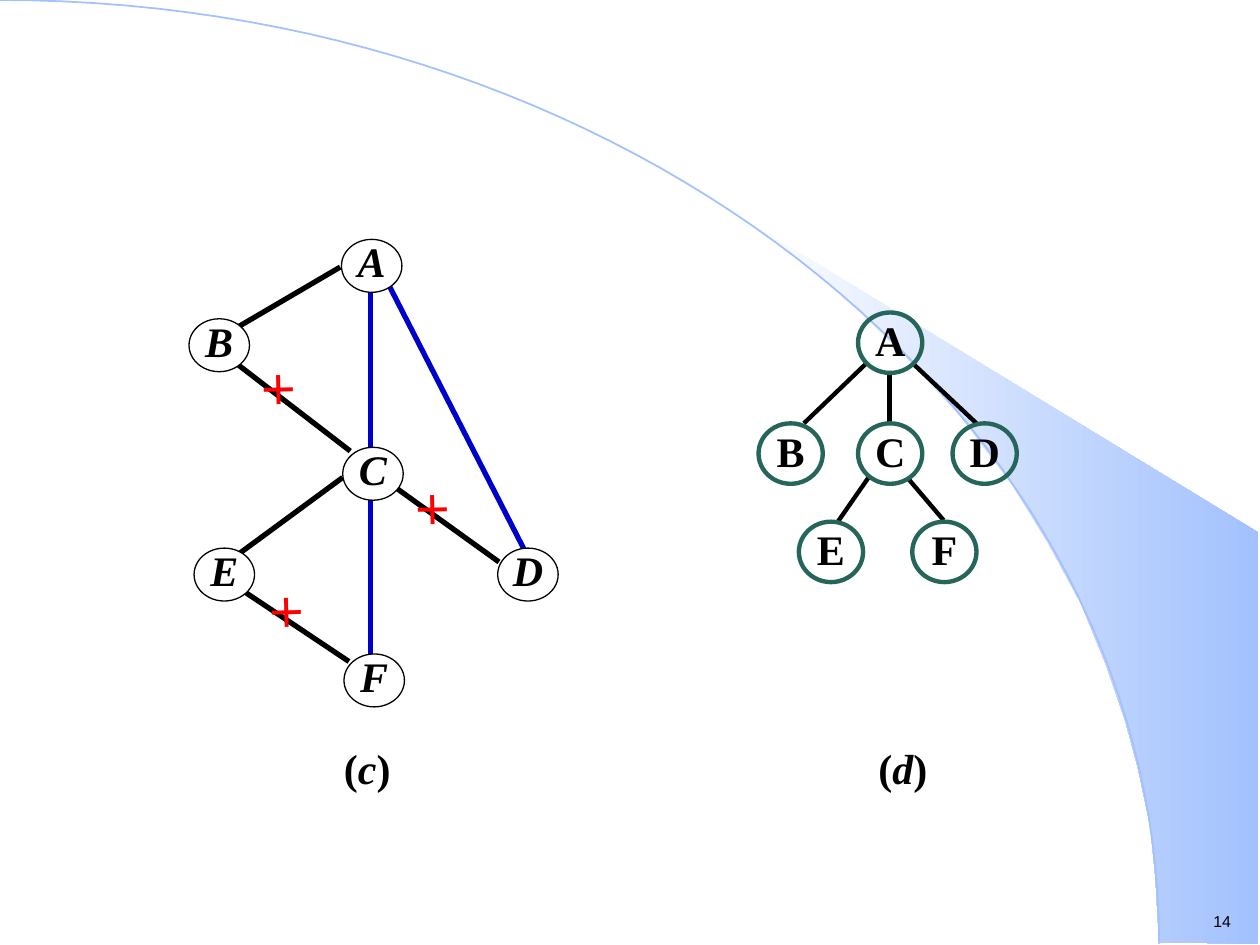
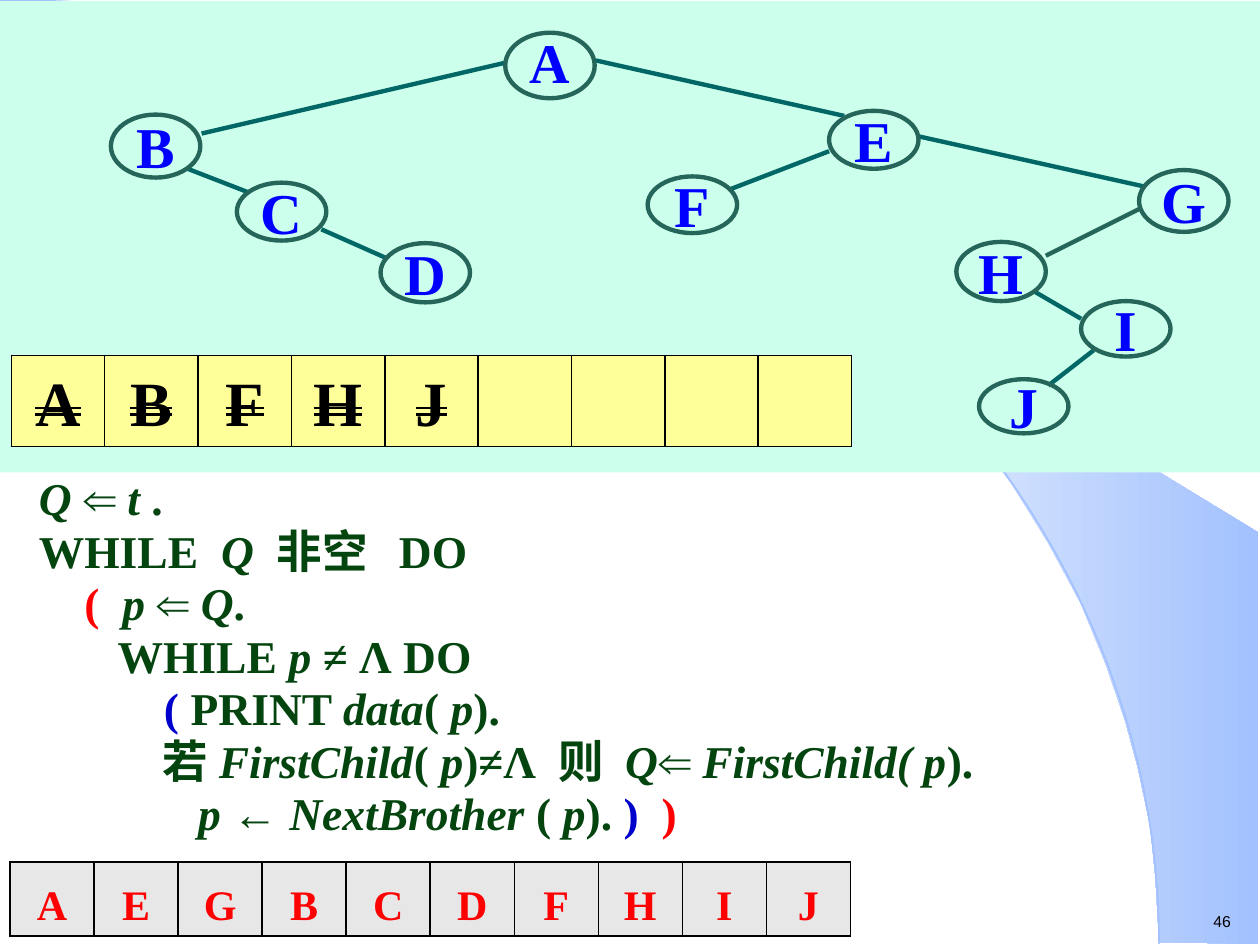
from lxml import etree
from pptx import Presentation
from pptx.dml.color import RGBColor
from pptx.enum.shapes import MSO_CONNECTOR, MSO_SHAPE
from pptx.enum.text import MSO_ANCHOR, PP_ALIGN
from pptx.oxml.ns import qn
from pptx.util import Inches, Pt

OVAL, RECT = MSO_SHAPE.OVAL, MSO_SHAPE.RECTANGLE
STRAIGHT = MSO_CONNECTOR.STRAIGHT
MIDDLE, TOP = MSO_ANCHOR.MIDDLE, MSO_ANCHOR.TOP
CENTER, LEFT = PP_ALIGN.CENTER, PP_ALIGN.LEFT

SERIF, SANS = "Times New Roman", "Arial"
BLACK, WHITE, RED = "000000", "FFFFFF", "FF0000"
SKY, MINT, TEAL, PINE = "A2C1FE", "CCFFEC", "26665A", "006666"
NAVY, BLUE, MOSS = "0000CC", "0000FF", "04440F"
CREAM, GREY = "FFFF99", "E7E7E7"

ink = RGBColor.from_string

prs = Presentation()
prs.slide_width, prs.slide_height = Inches(10), Inches(7.5)
CELL = prs.slide_width / 10


def grid(*steps):
    """Turn steps on the 10 by 7.5 slide grid into lengths."""
    return [round(step * CELL) for step in steps]


def mark(frame, text, size, shade, gap=1.0, font=SERIF, align=CENTER, anchor=MIDDLE):
    """Fill a frame without margins with one line of text; return its font."""
    frame.margin_left = frame.margin_right = 0
    frame.margin_top = frame.margin_bottom = 0
    frame.word_wrap = True
    frame.vertical_anchor = anchor
    frame.text = text
    para = frame.paragraphs[0]
    para.alignment, para.line_spacing = align, gap
    face = para.runs[0].font
    face.name, face.size, face.bold = font, Pt(size), font == SERIF
    face.color.rgb = ink(shade)
    return face


# Shared layout: shaded wedge and long arc
plain = prs.slide_layouts[6]
graph, queue = [prs.slides.add_slide(plain) for _ in range(2)]

wedge_pts = [
    (9.2, 7.48), (9.99, 7.49), (9.99, 4.23), (5.89, 1.73), (6.24, 1.99), (6.53, 2.22),
    (6.85, 2.5), (7.16, 2.8), (7.62, 3.3), (8.03, 3.84), (8.32, 4.31), (8.58, 4.79),
    (8.78, 5.28), (8.93, 5.72), (9.03, 6.09), (9.13, 6.56), (9.17, 6.96),
]
arc_pts = []
for step in range(61):
    t = step / 60
    u = 1 - t
    arc_pts.append((3 * u * u * t * 5.08 + 3 * u * t * t * 9.2 + t**3 * 9.2,
                    3 * u * t * t * 3.35 + t**3 * 7.49))

for points, closed in ((wedge_pts, True), (arc_pts, False)):
    pen = graph.shapes.build_freeform(*grid(*points[0]))
    pen.add_line_segments([grid(*point) for point in points[1:]], close=closed)
    form = pen.convert_to_shape()
    form.shadow.inherit = False
    if closed:
        form.fill.gradient()
        form.fill.gradient_angle = 0
        for stop, shade in zip(form.fill.gradient_stops, (WHITE, SKY)):
            stop.color.rgb = ink(shade)
        form.line.fill.background()
    else:
        form.fill.background()
        form.line.color.rgb, form.line.width = ink(SKY), Pt(1)
    plain.shapes.element.append(form.element)

for slide, number in ((graph, "14"), (queue, "46")):
    box = slide.shapes.add_textbox(*grid(9.63, 7.24, 0.25, 0.15))
    mark(box.text_frame, number, 9, BLACK, font=SANS, align=LEFT, anchor=TOP)

# Panel behind the forest, captions under the graph and the tree
panels = [
    (queue, (0, 0.01, 10, 3.74), MINT, ""),
    (graph, (2.56, 5.95, 0.71, 0.36), WHITE, "c"),
    (graph, (6.81, 5.95, 0.71, 0.36), WHITE, "d"),
]
for slide, place, shade, letter in panels:
    panel = slide.shapes.add_shape(RECT, *grid(*place))
    panel.shadow.inherit = False
    panel.fill.solid()
    panel.fill.fore_color.rgb = ink(shade)
    panel.line.fill.background()
    if letter:
        mark(panel.text_frame, "(", 24, BLACK, 0.8)
        para = panel.text_frame.paragraphs[0]
        for part in (letter, ")"):
            run = para.add_run()
            run.text = part
            face = run.font
            face.name, face.size, face.bold = SERIF, Pt(24), True
            face.italic = part == letter
            face.color.rgb = ink(BLACK)

# Edges: slide, colour, width, ends
edges = [
    (graph, NAVY, 3, [(3.09, 2.27, 4.17, 4.38), (2.94, 3.95, 2.94, 5.2),
                      (2.94, 2.28, 2.94, 3.57)]),
    (graph, BLACK, 3, [(2.7, 2.12, 1.88, 2.6), (2.72, 3.79, 1.89, 4.4),
                       (1.87, 2.88, 2.78, 3.58), (3.14, 3.87, 3.96, 4.46),
                       (1.93, 4.69, 2.77, 5.25)]),
    (graph, BLACK, 2.5, [(7.06, 2.96, 7.06, 3.36), (6.88, 2.88, 6.38, 3.36),
                         (7.24, 2.88, 7.75, 3.36), (6.9, 3.78, 6.65, 4.14),
                         (7.2, 3.79, 7.49, 4.13)]),
    (queue, TEAL, 2.5, [(9.04, 1.66, 8.3, 2.03)]),
    (queue, PINE, 2.5, [(4.73, 0.48, 6.7, 0.92), (7.28, 1.08, 9.08, 1.48),
                        (8.22, 2.32, 8.58, 2.53), (8.68, 2.78, 8.32, 3.06),
                        (6.58, 1.2, 5.8, 1.5), (4, 0.5, 1.6, 1.06),
                        (2.55, 1.82, 3.07, 2.05), (1.49, 1.34, 1.98, 1.53)]),
]
for slide, shade, width, ends in edges:
    for end in ends:
        edge = slide.shapes.add_connector(STRAIGHT, *grid(*end))
        edge.line.color.rgb, edge.line.width = ink(shade), Pt(width)
        etree.SubElement(edge.element.spPr, qn("a:effectLst"))

# Nodes: slide, node width, fill, line, text style, then name, left, top, height
nodes = [
    (graph, 0.48, WHITE, BLACK, 0.75, (24, BLACK, 0.8), [
        ("A", 2.71, 1.9, 0.42), ("B", 1.5, 2.53, 0.42), ("C", 2.72, 3.55, 0.42),
        ("D", 3.95, 4.35, 0.42), ("E", 1.54, 4.35, 0.42), ("F", 2.73, 5.19, 0.42)]),
    (graph, 0.51, None, TEAL, 2.5, (24, BLACK, 0.9), [
        ("A", 6.81, 2.48, 0.48), ("B", 6.02, 3.36, 0.48), ("C", 6.81, 3.36, 0.48),
        ("D", 7.56, 3.36, 0.48), ("E", 6.34, 4.14, 0.48), ("F", 7.24, 4.14, 0.48)]),
    (queue, 0.71, None, TEAL, 2.5, (32, BLUE, Pt(33)), [("A", 4.01, 0.26, 0.52)]),
    (queue, 0.71, None, TEAL, 2.5, (33, BLUE, Pt(39)), [
        ("B", 0.88, 0.91, 0.5), ("C", 1.88, 1.45, 0.46), ("D", 3.02, 1.93, 0.47),
        ("E", 6.58, 0.88, 0.46), ("F", 5.14, 1.4, 0.45), ("G", 9.04, 1.35, 0.49),
        ("H", 7.59, 1.92, 0.47), ("I", 8.58, 2.39, 0.44), ("J", 7.77, 3.01, 0.43)]),
]
for slide, wide, fill, shade, width, style, spots in nodes:
    for name, left, top, high in spots:
        node = slide.shapes.add_shape(OVAL, *grid(left, top, wide, high))
        node.shadow.inherit = False
        if fill:
            node.fill.solid()
            node.fill.fore_color.rgb = ink(fill)
        else:
            node.fill.background()
        node.line.color.rgb, node.line.width = ink(shade), Pt(width)
        face = mark(node.text_frame, name, *style)
        face.italic = fill == WHITE

# Crosses on the edges that are cut
for left, top, turn in ((2.05, 2.96, 43.9), (3.27, 3.91, 43.9), (2.11, 4.73, 43.4)):
    cross = graph.shapes.add_textbox(*grid(left, top, 0.43, 0.43))
    cross.rotation = turn
    mark(cross.text_frame, "×", 32, RED, 0.8, align=LEFT, anchor=TOP)

# Code: each part starts with the sign of its style
styles = {"=": (MOSS, False), "/": (MOSS, True), "!": (RED, False), "+": (NAVY, False)}
code = [
    "/Q |=⇐ |/t |=.",
    "=WHILE  |/Q  |=非空   DO",
    "!    (  |/p |=⇐ |/Q|=.",
    "=       WHILE |/p |=≠ Λ DO",
    "+           ( |=PRINT |/data|=( |/p|=).",
    "=            若 |/FirstChild|=( |/p|=)≠Λ  则  |/Q|=⇐ |/FirstChild( p|=).",
    "/              p |=← |/NextBrother |=( |/p|=). |+)  |!)",
]
box = queue.shapes.add_textbox(*grid(0.21, 3.7, 7.9, 3.02))
frame = box.text_frame
frame.word_wrap = True
for index, row in enumerate(code):
    para = frame.add_paragraph() if index else frame.paragraphs[0]
    para.line_spacing = Pt(30)
    for part in row.split("|"):
        shade, slant = styles[part[0]]
        run = para.add_run()
        run.text = part[1:]
        face = run.font
        face.name, face.size, face.bold, face.italic = SERIF, Pt(26), True, slant
        face.color.rgb = ink(shade)

# Queue and output: letters, columns, place, fill, size, colour, line gap
strips = [
    ("AEGBCDFHIJ", 10, (0.08, 6.84, 6.67, 0.59), GREY, 24, RED, 35),
    ("ABFHJ", 9, (0.09, 2.82, 6.67, 0.72), CREAM, 36, BLACK, 45),
]
for names, count, place, fill, size, shade, gap in strips:
    table = queue.shapes.add_table(1, count, *grid(*place)).table
    table.first_row = table.horz_banding = False
    for index, cell in enumerate(table.iter_cells()):
        props = cell._tc.get_or_add_tcPr()
        for side in ("a:lnL", "a:lnR", "a:lnT", "a:lnB"):
            rim = etree.SubElement(props, qn(side), w=str(Pt(1)))
            solid = etree.SubElement(rim, qn("a:solidFill"))
            etree.SubElement(solid, qn("a:srgbClr"), val=BLACK)
        cell.fill.solid()
        cell.fill.fore_color.rgb = ink(fill)
        if index < len(names):
            cell.text_frame.text = names[index]
            para = cell.text_frame.paragraphs[0]
            para.alignment, para.line_spacing = CENTER, Pt(gap)
            run = para.runs[0]
            face = run.font
            face.name, face.size, face.bold = SERIF, Pt(size), True
            face.color.rgb = ink(shade)
            if fill == CREAM:
                run._r.get_or_add_rPr().set("strike", "dblStrike")

prs.save("out.pptx")
